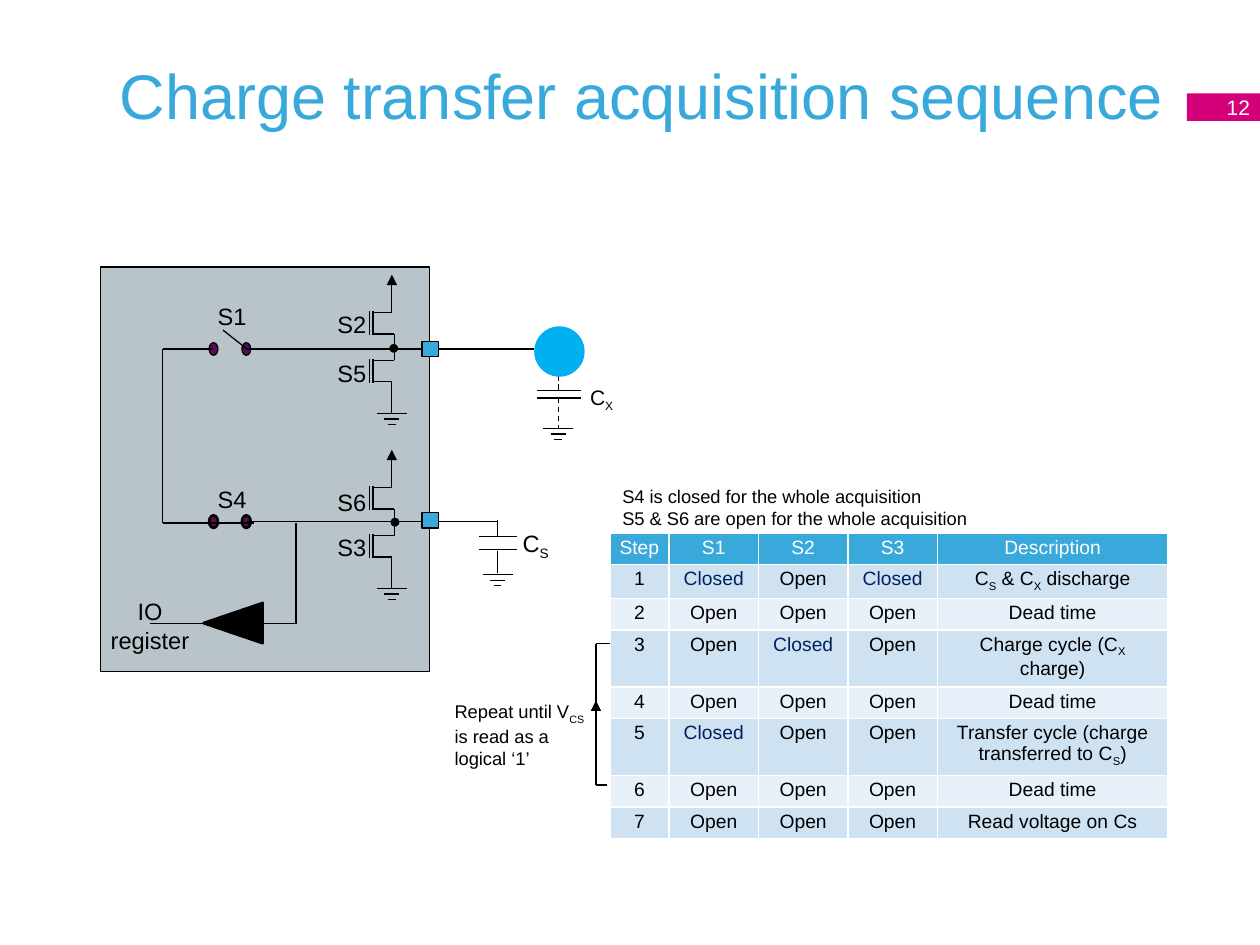
from typing import NamedTuple

import lxml.etree
import pptx
import pptx.dml.color
import pptx.enum.dml
import pptx.enum.shapes
import pptx.enum.text
import pptx.oxml.ns
import pptx.util

Inches = pptx.util.Inches
Pt = pptx.util.Pt
RGBColor = pptx.dml.color.RGBColor
Shape = pptx.enum.shapes.MSO_SHAPE
Align = pptx.enum.text.PP_ALIGN
Anchor = pptx.enum.text.MSO_ANCHOR

WHITE = RGBColor(0xFF, 0xFF, 0xFF)
BLACK = RGBColor(0x00, 0x00, 0x00)
BLUE = RGBColor(0x39, 0xA9, 0xDC)
SKY = RGBColor(0x00, 0xB0, 0xF0)
NAVY = RGBColor(0x00, 0x20, 0x60)
MAGENTA = RGBColor(0xD4, 0x00, 0x7A)
PURPLE = RGBColor(0x58, 0x0D, 0x58)
GREY = RGBColor(0xB9, 0xC4, 0xCA)
BAND_DARK = RGBColor(0xCE, 0xE2, 0xF2)
BAND_LIGHT = RGBColor(0xE8, 0xF1, 0xF9)


class Label(NamedTuple):
    text: str
    left: float
    top: float
    width: float
    height: float
    size: float = 13.5
    align: Align = Align.LEFT
    wrap: bool = False
    color: RGBColor = BLACK
    anchor: Anchor = Anchor.TOP


class Block(NamedTuple):
    kind: Shape
    left: float
    top: float
    width: float
    height: float
    fill: RGBColor
    outline: float = 0
    rotation: float = 0


class Wire(NamedTuple):
    x1: float
    y1: float
    x2: float
    y2: float
    dashed: bool = False
    arrow: bool = False


class Transistor(NamedTuple):
    start: float
    direction: int


TITLE = Label("Charge transfer acquisition sequence", 0.5, 0.12, 8.83, 1.25, 36,
              Align.RIGHT, True, BLUE, Anchor.MIDDLE)
LABELS = [
    Label("C|S|", 4.05, 4.15, 0.42, 0.33),
    Label("C|X|", 4.3, 3, 0.95, 0.3, 12, Align.CENTER, True),
    Label("S4 is closed for the whole acquisition\nS5 & S6 are open for the whole acquisition",
          4.84, 3.8, 2.99, 0.45, 10.5),
    Label("Repeat until V|CS| is read as a logical ‘1’", 3.51, 5.51, 1.26, 0.63, 10.5, wrap=True),
    Label("IO register", 0.69, 4.69, 1, 0.56, align=Align.CENTER, wrap=True),
] + [
    Label(name, left, top, 0.43, 0.33)
    for name, left, top in [
        ("S1", 1.63, 2.35), ("S2", 2.58, 2.41), ("S3", 2.58, 4.18),
        ("S4", 1.63, 3.8), ("S5", 2.58, 2.8), ("S6", 2.58, 3.82),
    ]
]

ENCLOSURE = Block(Shape.RECTANGLE, 0.8, 2.12, 2.61, 3.21, GREY, 0.75)
CONTACTS = [
    Block(Shape.OVAL, left, top, 0.07, 0.1, PURPLE, outline)
    for top, outline in [(2.72, 0.75), (4.09, 1.5)]
    for left in (1.66, 1.92)
]
PARTS = [
    Block(Shape.ISOSCELES_TRIANGLE, 1.69, 4.71, 0.32, 0.47, BLACK, 1.5, 270),
    Block(Shape.OVAL, 4.24, 2.59, 0.4, 0.4, SKY),
    Block(Shape.RECTANGLE, 3.35, 2.71, 0.13, 0.12, BLUE, 0.75),
    Block(Shape.RECTANGLE, 3.35, 4.07, 0.13, 0.12, BLUE, 0.75),
    Block(Shape.OVAL, 3.09, 2.73, 0.07, 0.07, BLACK),
    Block(Shape.OVAL, 3.1, 4.11, 0.07, 0.07, BLACK),
]

SWITCH_WIRES = [
    Wire(1.96, 2.77, 1.77, 2.62), Wire(1.68, 2.77, 1.29, 2.77),
    Wire(2.35, 2.77, 1.96, 2.77), Wire(4.24, 2.77, 2.35, 2.77),
    Wire(1.29, 2.77, 1.29, 4.15), Wire(2.02, 4.15, 1.29, 4.15),
    Wire(3.95, 4.14, 1.96, 4.14),
]
BUFFER_WIRES = [
    Wire(2.35, 4.15, 2.35, 4.95), Wire(2.34, 4.95, 2.09, 4.95), Wire(1.92, 4.95, 1.19, 4.95),
]
CAPACITOR_WIRES = [
    Wire(3.95, 4.13, 3.95, 4.25), Wire(3.8, 4.26, 4.1, 4.26),
    Wire(3.8, 4.36, 4.1, 4.36), Wire(3.95, 4.37, 3.95, 4.55),
    Wire(4.43, 2.98, 4.43, 3.1, dashed=True), Wire(4.26, 3.1, 4.61, 3.1),
    Wire(4.26, 3.16, 4.61, 3.16), Wire(4.43, 3.16, 4.43, 3.4, dashed=True),
]
REPEAT_WIRES = [
    Wire(4.73, 6.23, 4.73, 5.56, arrow=True), Wire(4.73, 5.73, 4.73, 5.11),
    Wire(4.82, 6.23, 4.73, 6.23), Wire(4.84, 5.11, 4.73, 5.11),
]
TRANSISTORS = [Transistor(2.7, 1), Transistor(2.81, -1), Transistor(4.09, 1), Transistor(4.2, -1)]

COLUMNS = [0.47, 0.71, 0.71, 0.71, 1.83]
ROW_HEIGHTS = [0.25] * 5 + [0.43] + [0.25] * 2
STEPS = [
    ("Step", "S1", "S2", "S3", "Description"),
    ("1", "Closed", "Open", "Closed", "C|S| & C|X| discharge"),
    ("2", "Open", "Open", "Open", "Dead time"),
    ("3", "Open", "Closed", "Open", "Charge cycle (C|X| charge)"),
    ("4", "Open", "Open", "Open", "Dead time"),
    ("5", "Closed", "Open", "Open", "Transfer cycle (charge transferred to C|S|)"),
    ("6", "Open", "Open", "Open", "Dead time"),
    ("7", "Open", "Open", "Open", "Read voltage on Cs"),
]


def write(frame, text: str, size: float, align: Align, color: RGBColor) -> None:
    for index, line in enumerate(text.split("\n")):
        para = frame.add_paragraph() if index else frame.paragraphs[0]
        para.alignment = align
        para.font.name = "Arial"
        para.font.size = Pt(size)
        for part, piece in enumerate(line.split("|")):
            if piece:
                span = para.add_run()
                span.text = piece
                span.font.bold = False
                span.font.color.rgb = color
                if part % 2:
                    span.font._element.set("baseline", "-25000")


def draw_label(page, label: Label) -> None:
    box = page.shapes.add_textbox(*map(Inches, label[1:5]))
    box.text_frame.word_wrap = label.wrap
    box.text_frame.vertical_anchor = label.anchor
    write(box.text_frame, label.text, label.size, label.align, label.color)


def draw_block(page, block: Block):
    shape = page.shapes.add_shape(block.kind, *map(Inches, block[1:5]))
    shape.shadow.inherit = False
    shape.rotation = block.rotation
    shape.fill.solid()
    shape.fill.fore_color.rgb = block.fill
    if block.outline:
        shape.line.color.rgb = BLACK
        shape.line.width = Pt(block.outline)
    else:
        shape.line.fill.background()
    return shape


def draw_wire(page, wire: Wire) -> None:
    line = page.shapes.add_connector(
        pptx.enum.shapes.MSO_CONNECTOR.STRAIGHT, *map(Inches, wire[:4]))
    line.line.color.rgb = BLACK
    line.line.width = Pt(0.75)
    if wire.dashed:
        line.line.dash_style = pptx.enum.dml.MSO_LINE.DASH
    if wire.arrow:
        outline = line.line._get_or_add_ln()
        lxml.etree.SubElement(outline, pptx.oxml.ns.qn("a:tailEnd"), type="triangle")
    lxml.etree.SubElement(line._element.spPr, pptx.oxml.ns.qn("a:effectLst"))


def draw_ground(page, x: float, y: float) -> None:
    for index, half in enumerate((0.12, 0.06, 0.03)):
        level = y + 0.045 * index
        draw_wire(page, Wire(x - half, level, x + half, level))


def draw_transistor(page, transistor: Transistor) -> None:
    def level(distance: float) -> float:
        return transistor.start + transistor.direction * distance

    grounded = transistor.direction > 0
    lead_end = level(0.58 if grounded else 0.63)
    for wire in [
        Wire(3.13, level(0), 3.13, level(0.16)),
        Wire(3.13, level(0.16), 2.96, level(0.16)),
        Wire(3.11, level(0.33), 2.96, level(0.33)),
        Wire(2.96, level(0.15), 2.96, level(0.34)),
        Wire(2.93, level(0.15), 2.93, level(0.34)),
        Wire(3.11, level(0.33), 3.11, lead_end, arrow=not grounded),
    ]:
        draw_wire(page, wire)
    if grounded:
        draw_ground(page, 3.11, lead_end)


def draw_steps(page) -> None:
    table = page.shapes.add_table(
        len(STEPS), len(COLUMNS), Inches(4.84), Inches(4.23),
        Inches(sum(COLUMNS)), Inches(sum(ROW_HEIGHTS))).table
    for column, width in zip(table.columns, COLUMNS):
        column.width = Inches(width)
    for index, (row, height, texts) in enumerate(zip(table.rows, ROW_HEIGHTS, STEPS)):
        row.height = Inches(height)
        band = BAND_DARK if index % 2 else BAND_LIGHT
        for cell, text in zip(row.cells, texts):
            cell.margin_left = cell.margin_right = Inches(0.07)
            cell.margin_top = cell.margin_bottom = Inches(0.03)
            cell.fill.solid()
            cell.fill.fore_color.rgb = band if index else BLUE
            body_color = NAVY if text == "Closed" else BLACK
            write(cell.text_frame, text, 11, Align.CENTER, body_color if index else WHITE)


def main() -> None:
    deck = pptx.Presentation()
    deck.slide_width, deck.slide_height = Inches(10), Inches(7.5)
    page = deck.slides.add_slide(deck.slide_layouts[6])
    draw_label(page, TITLE)
    number = draw_block(page, Block(Shape.RECTANGLE, 9.42, 0.74, 0.6, 0.22, MAGENTA))
    write(number.text_frame, "12", 12, Align.RIGHT, WHITE)
    draw_steps(page)
    for block in [ENCLOSURE] + CONTACTS:
        draw_block(page, block)
    for wire in SWITCH_WIRES + BUFFER_WIRES + CAPACITOR_WIRES + REPEAT_WIRES:
        draw_wire(page, wire)
    for transistor in TRANSISTORS:
        draw_transistor(page, transistor)
    for x, y in [(3.95, 4.56), (4.43, 3.4)]:
        draw_ground(page, x, y)
    for block in PARTS:
        draw_block(page, block)
    for label in LABELS:
        draw_label(page, label)
    deck.save("out.pptx")


if __name__ == "__main__":
    main()
